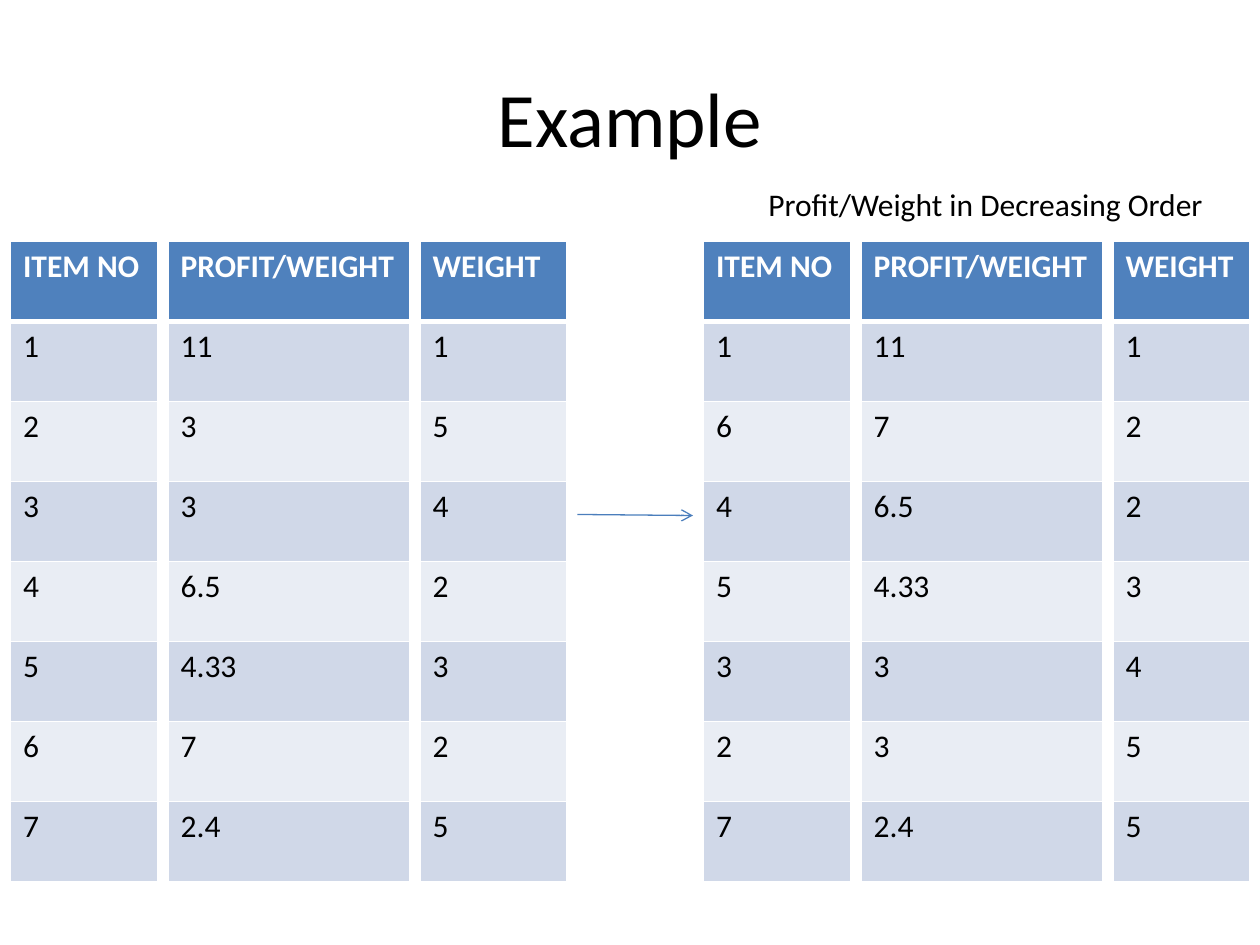
from lxml.etree import SubElement
from pptx import Presentation
from pptx.dml.color import RGBColor
from pptx.enum.shapes import MSO_CONNECTOR
from pptx.enum.text import MSO_ANCHOR, PP_ALIGN
from pptx.oxml.ns import qn
from pptx.util import Inches, Pt

TITLE = "Example"
CAPTION = "Profit/Weight in Decreasing Order"
HEADERS = ["ITEM NO", "PROFIT/WEIGHT", "WEIGHT"]
GIVEN_ITEMS = [
    ("1", "11", "1"),
    ("2", "3", "5"),
    ("3", "3", "4"),
    ("4", "6.5", "2"),
    ("5", "4.33", "3"),
    ("6", "7", "2"),
    ("7", "2.4", "5"),
]
SORTED_ORDER = [1, 6, 4, 5, 3, 2, 7]
SORTED_ITEMS = [GIVEN_ITEMS[number - 1] for number in SORTED_ORDER]

UNIT = 1 / 12
GAP = 1
TABLE_TOP = 23
TABLE_HEIGHT = 61
GROUPS = [
    (1, [14, 23, 14], GIVEN_ITEMS),
    (67, [14, 23, 13], SORTED_ITEMS),
]
BLACK, WHITE, HEADER_FILL = "000000", "FFFFFF", "4F81BD"
BAND_FILLS = ["D0D8E8", "E9EDF4"]
ARROW_COLOUR = "4B7EBC"


def colour(value):
    return RGBColor.from_string(value)


def units(*values):
    return [Inches(value * UNIT) for value in values]


def format_text(paragraph, size, text_colour, bold=False):
    for run in paragraph.runs:
        run.font.name = "Calibri"
        run.font.size = Pt(size)
        run.font.bold = bold
        run.font.color.rgb = colour(text_colour)


def add_border(cell, side, width):
    properties = cell._tc.get_or_add_tcPr()
    line = SubElement(properties, qn(f"a:ln{side}"), w=str(Pt(width)))
    fill = SubElement(line, qn("a:solidFill"))
    SubElement(fill, qn("a:srgbClr"), val=WHITE)


def add_column(slide, left, width, texts):
    frame = slide.shapes.add_table(
        len(texts), 1, *units(left, TABLE_TOP, width, TABLE_HEIGHT))
    table = frame.table
    for index, text in enumerate(texts):
        table.rows[index].height = Inches(TABLE_HEIGHT * UNIT / len(texts))
        cell = table.cell(index, 0)
        header = index == 0
        for side in "LRTB":
            thick = (index, side) in [(0, "B"), (1, "T")]
            add_border(cell, side, 3 if thick else 1)
        cell.fill.solid()
        cell.fill.fore_color.rgb = colour(
            HEADER_FILL if header else BAND_FILLS[(index - 1) % 2])
        cell.text_frame.text = text
        format_text(cell.text_frame.paragraphs[0], 18,
                    WHITE if header else BLACK, header)


presentation = Presentation()
presentation.slide_width, presentation.slide_height = Inches(10), Inches(7.5)
slide = presentation.slides.add_slide(presentation.slide_layouts[5])

title = slide.shapes.title
title.left, title.top = Inches(0.5), Inches(0.3)
title.width, title.height = Inches(9), Inches(1.25)
title.text_frame.text = TITLE
title.text_frame.vertical_anchor = MSO_ANCHOR.MIDDLE
title.text_frame.paragraphs[0].alignment = PP_ALIGN.CENTER
format_text(title.text_frame.paragraphs[0], 44, BLACK)

for left, widths, items in GROUPS:
    for header, width, values in zip(HEADERS, widths, zip(*items)):
        add_column(slide, left, width, [header, *values])
        left += width + GAP

arrow = slide.shapes.add_connector(
    MSO_CONNECTOR.STRAIGHT, *units(55, 49, 66, 49.1))
arrow.line.color.rgb = colour(ARROW_COLOUR)
arrow.line.width = Pt(0.75)
SubElement(arrow.line._get_or_add_ln(), qn("a:tailEnd"), type="arrow")
SubElement(arrow._element.spPr, qn("a:effectLst"))

caption = slide.shapes.add_textbox(*units(72, 17, 47, 5))
caption.text_frame.word_wrap = True
caption.text_frame.text = CAPTION
format_text(caption.text_frame.paragraphs[0], 18, BLACK)

presentation.save("out.pptx")
